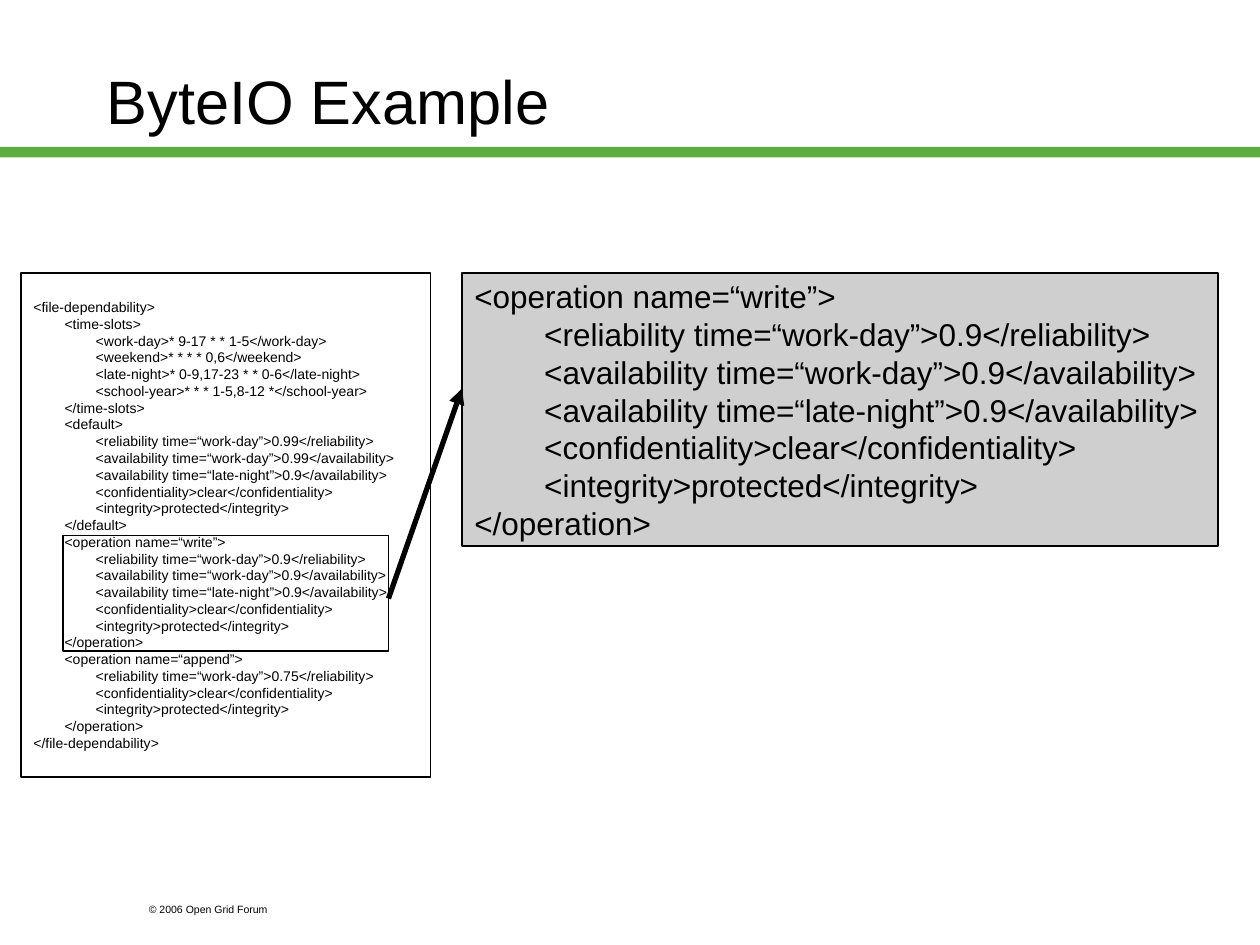
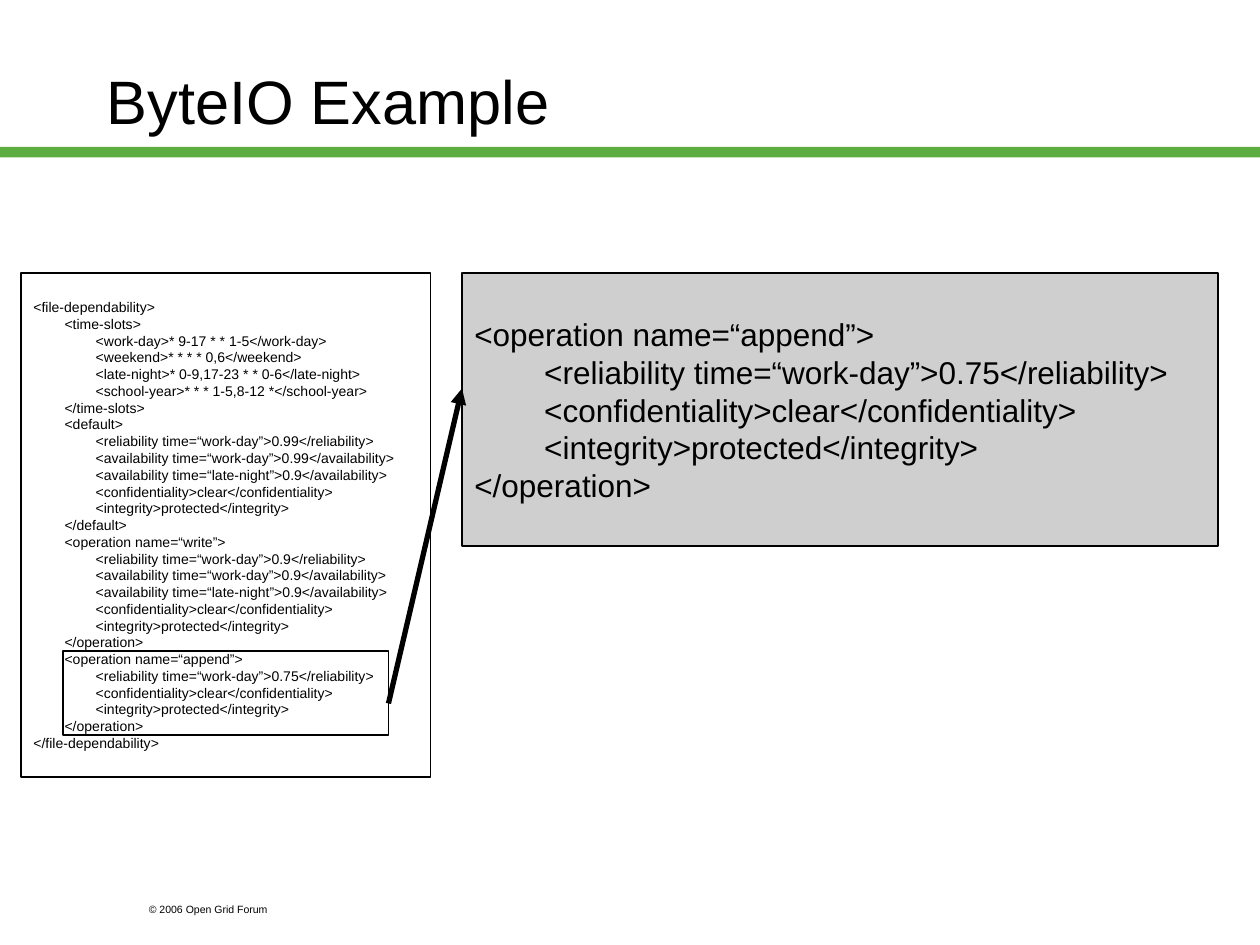
from lxml import etree
from pptx import Presentation
from pptx.dml.color import RGBColor
from pptx.enum.shapes import MSO_CONNECTOR as Connector, MSO_SHAPE as Shape
from pptx.enum.text import MSO_ANCHOR as Anchor, PP_ALIGN as Align
from pptx.oxml.ns import qn
from pptx.util import Inches, Pt

BLACK = RGBColor(0x00, 0x00, 0x00)
WHITE = RGBColor(0xFF, 0xFF, 0xFF)
GREEN = RGBColor(0x5D, 0xAD, 0x41)
GREY = RGBColor(0xCF, 0xCF, 0xCF)
FONT = "Arial"
COLUMNS, ROWS = 120, 90

WRITE = """<operation name=“write”>
        <reliability time=“work-day”>0.9</reliability>
        <availability time=“work-day”>0.9</availability>
        <availability time=“late-night”>0.9</availability>
        <confidentiality>clear</confidentiality>
        <integrity>protected</integrity>
</operation>"""
APPEND = """<operation name=“append”>
        <reliability time=“work-day”>0.75</reliability>
        <confidentiality>clear</confidentiality>
        <integrity>protected</integrity>
</operation>"""
SETTINGS = """<time-slots>
        <work-day>* 9-17 * * 1-5</work-day>
        <weekend>* * * * 0,6</weekend>
        <late-night>* 0-9,17-23 * * 0-6</late-night>
        <school-year>* * * 1-5,8-12 *</school-year>
</time-slots>
<default>
        <reliability time=“work-day”>0.99</reliability>
        <availability time=“work-day”>0.99</availability>
        <availability time=“late-night”>0.9</availability>
        <confidentiality>clear</confidentiality>
        <integrity>protected</integrity>
</default>"""
INNER_LINES = "\n".join([SETTINGS, WRITE, APPEND]).split("\n")
LISTING = "\n".join(
    ["<file-dependability>"]
    + ["        " + line for line in INNER_LINES]
    + ["</file-dependability>"]
)

presentation = Presentation()
presentation.slide_width = Inches(10)
presentation.slide_height = Inches(7.5)
column = presentation.slide_width / COLUMNS
row = presentation.slide_height / ROWS


def add_box(slide, left, top, width, height, fill=None, outlined=True):
    shape = slide.shapes.add_shape(
        Shape.RECTANGLE, round(left * column), round(top * row),
        round(width * column), round(height * row))
    shape.shadow.inherit = False
    if fill is None:
        shape.fill.background()
    else:
        shape.fill.solid()
        shape.fill.fore_color.rgb = fill
    if outlined:
        shape.line.color.rgb = BLACK
        shape.line.width = Pt(0.75)
    else:
        shape.line.fill.background()
    return shape


def write_text(shape, text, size, anchor=Anchor.MIDDLE):
    frame = shape.text_frame
    frame.word_wrap = True
    frame.vertical_anchor = anchor
    frame.text = text
    for paragraph in frame.paragraphs:
        paragraph.alignment = Align.LEFT
        paragraph.font.name = FONT
        paragraph.font.size = Pt(size)
        paragraph.font.color.rgb = BLACK


examples = [
    (WRITE, 51, 11, 57),
    (APPEND, 62, 8, 67),
]

for operation, highlight_top, highlight_height, arrow_start in examples:
    slide = presentation.slides.add_slide(presentation.slide_layouts[6])
    add_box(slide, 0, 14, COLUMNS, 1, GREEN, outlined=False)

    for text, size, anchor, left, top, width, height in [
        ("© 2006 Open Grid Forum", 6, Anchor.TOP, 13, 85.4, 18, 2.4),
        ("ByteIO Example", 35, Anchor.MIDDLE, 9, 2, 102, 15),
    ]:
        label = slide.shapes.add_textbox(
            round(left * column), round(top * row),
            round(width * column), round(height * row))
        write_text(label, text, size, anchor)

    write_text(add_box(slide, 2, 26, 39, 48, WHITE), LISTING, 8)
    write_text(add_box(slide, 44, 26, 72, 26, GREY), operation, 18)
    add_box(slide, 6, highlight_top, 31, highlight_height)

    arrow = slide.shapes.add_connector(
        Connector.STRAIGHT, round(37 * column), round(arrow_start * row),
        round(44 * column), round(37 * row))
    arrow.line.color.rgb = BLACK
    arrow.line.width = Pt(3)
    properties = arrow.element.spPr
    etree.SubElement(properties.find(qn("a:ln")), qn("a:tailEnd"), type="triangle")
    etree.SubElement(properties, qn("a:effectLst"))

presentation.save("out.pptx")
